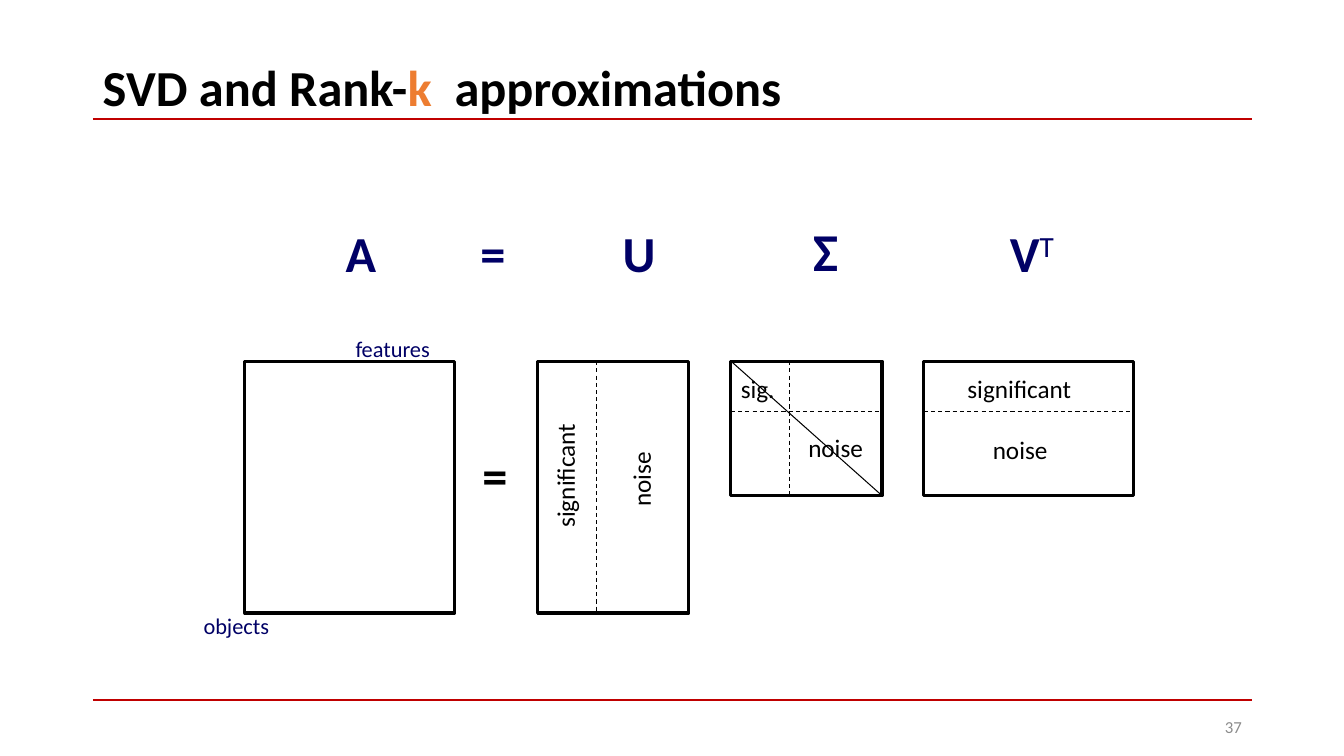
from lxml import etree
from pptx import Presentation
from pptx import util as u
from pptx.dml.color import RGBColor
from pptx.enum import dml, shapes, text
from pptx.oxml import ns

NAVY, BLACK, RED, ORANGE, GREY = "000066", "000000", "C00000", "ED7D31", "8C8C8C"


def colour(value):
    """Turn a hex string into a colour."""
    return RGBColor.from_string(value)


def add_run(paragraph, words, *, size, ink=BLACK, bold=False, raised=0, font="Calibri"):
    """Append formatted words to a paragraph."""
    run = paragraph.add_run()
    run.text = words
    run.font.name, run.font.size, run.font.bold = font, u.Pt(size), bold
    run.font.color.rgb = colour(ink)
    if raised:
        run._r.get_or_add_rPr().set("baseline", str(raised * 1000))


class Board:
    """Draw styled elements on one slide, with lengths in centimetres."""

    def __init__(self, slide):
        """Keep the slide and its style."""
        self.items = slide.shapes
        self.spacing = 0.98

    def matrix(self, left, top, width, height):
        """Draw an unfilled matrix outline."""
        outline = self.items.add_shape(
            shapes.MSO_SHAPE.RECTANGLE, *map(u.Cm, (left, top, width, height)))
        outline.shadow.inherit = False
        outline.fill.background()
        outline.line.color.rgb = colour(BLACK)
        outline.line.width = u.Pt(2.25)

    def line(self, x1, y1, x2, y2, ink=BLACK, weight=0.75, dashed=False):
        """Draw a straight line."""
        stroke = self.items.add_connector(
            shapes.MSO_CONNECTOR.STRAIGHT, *map(u.Cm, (x1, y1, x2, y2)))
        stroke.line.color.rgb = colour(ink)
        stroke.line.width = u.Pt(weight)
        if dashed:
            stroke.line.dash_style = dml.MSO_LINE.DASH
        etree.SubElement(stroke._element.spPr, ns.qn("a:effectLst"))

    def label(self, pieces, left, top, width, height, *, turn=0, wrap=False,
              align=text.PP_ALIGN.LEFT, anchor=text.MSO_ANCHOR.TOP, spacing=None, **style):
        """Place a text box of (words, overrides) pieces."""
        box = self.items.add_textbox(*map(u.Cm, (left, top, width, height)))
        box.rotation = turn
        frame = box.text_frame
        frame.word_wrap, frame.vertical_anchor = wrap, anchor
        paragraph = frame.paragraphs[0]
        paragraph.alignment = align
        paragraph.line_spacing = spacing or self.spacing
        for words, overrides in pieces:
            add_run(paragraph, words, **{**style, **overrides})


def main():
    """Build and save the slide."""
    deck = Presentation()
    deck.slide_width, deck.slide_height = u.Cm(33.87), u.Cm(19.05)
    board = Board(deck.slides.add_slide(deck.slide_layouts[6]))
    middle = text.MSO_ANCHOR.MIDDLE

    for rule_y in (3, 17.65):
        board.line(2.34, rule_y, 31.55, rule_y, ink=RED, weight=1.5)
    board.label([("SVD and Rank-", {}), ("k  ", {"ink": ORANGE}), ("approximations", {})],
                2.34, 1.55, 29.21, 1.47, wrap=True, anchor=middle, spacing=0.9,
                size=36, bold=True)

    top, tall, short, wide, narrow = 9.1, 6.35, 3.39, 5.29, 3.81
    a_left, u_left, sigma_left, v_left = 6.17, 13.55, 18.42, 23.28
    for left, width, height in ((a_left, wide, tall), (u_left, narrow, tall),
                                (v_left, wide, short), (sigma_left, narrow, short)):
        board.matrix(left, top, width, height)

    rank = 1.48
    split = top + 1.27
    board.line(u_left + rank, top, u_left + rank, top + tall, dashed=True)
    board.line(sigma_left, top, sigma_left + narrow, top + short)
    board.line(sigma_left + rank, top, sigma_left + rank, top + short, dashed=True)
    for left, width in ((sigma_left, narrow), (v_left, wide)):
        board.line(left, split, left + width, split, dashed=True)

    for symbol, left, width in (("A", 8.46, 1.3), ("=", 11.86, 1.14), ("U", 15.44, 1.35)):
        board.label([(symbol, {})], left, 5.54, width, 1.75, size=36, ink=NAVY, bold=True)
    board.label([("Σ", {})], 20.24, 5.46, 1.3, 1.85, size=38, ink=NAVY, bold=True)
    board.label([("V", {"bold": True}), ("T", {"raised": 30})],
                25.2, 5.54, 1.68, 1.75, size=36, ink=NAVY)
    board.label([("=", {})], 11.91, 11.15, 1.14, 1.75, size=36, bold=True)

    for axis, left, axis_top, width in (("objects", 4.88, 15.34, 2.18),
                                        ("features", 8.71, 8.36, 2.41)):
        board.label([(axis, {})], left, axis_top, width, 0.91, size=16, ink=NAVY)

    widths = {"significant": 3.15, "noise": 1.9, "sig.": 1.37}
    for part, left, part_top, turn in (
            ("significant", 24.13, 9.32, 0), ("noise", 24.77, 10.85, 0),
            ("significant", 12.7, 11.46, 270), ("noise", 15.24, 11.56, 270),
            ("sig.", 18.42, 9.32, 0), ("noise", 20.12, 10.8, 0)):
        board.label([(part, {})], left, part_top, widths[part], 1.02, turn=turn, size=18)

    board.label([("37", {})], 23.93, 17.81, 7.62, 1.02, wrap=True, anchor=middle,
                align=text.PP_ALIGN.RIGHT, spacing=1.0, size=12, ink=GREY)
    deck.save("out.pptx")


if __name__ == "__main__":
    main()
